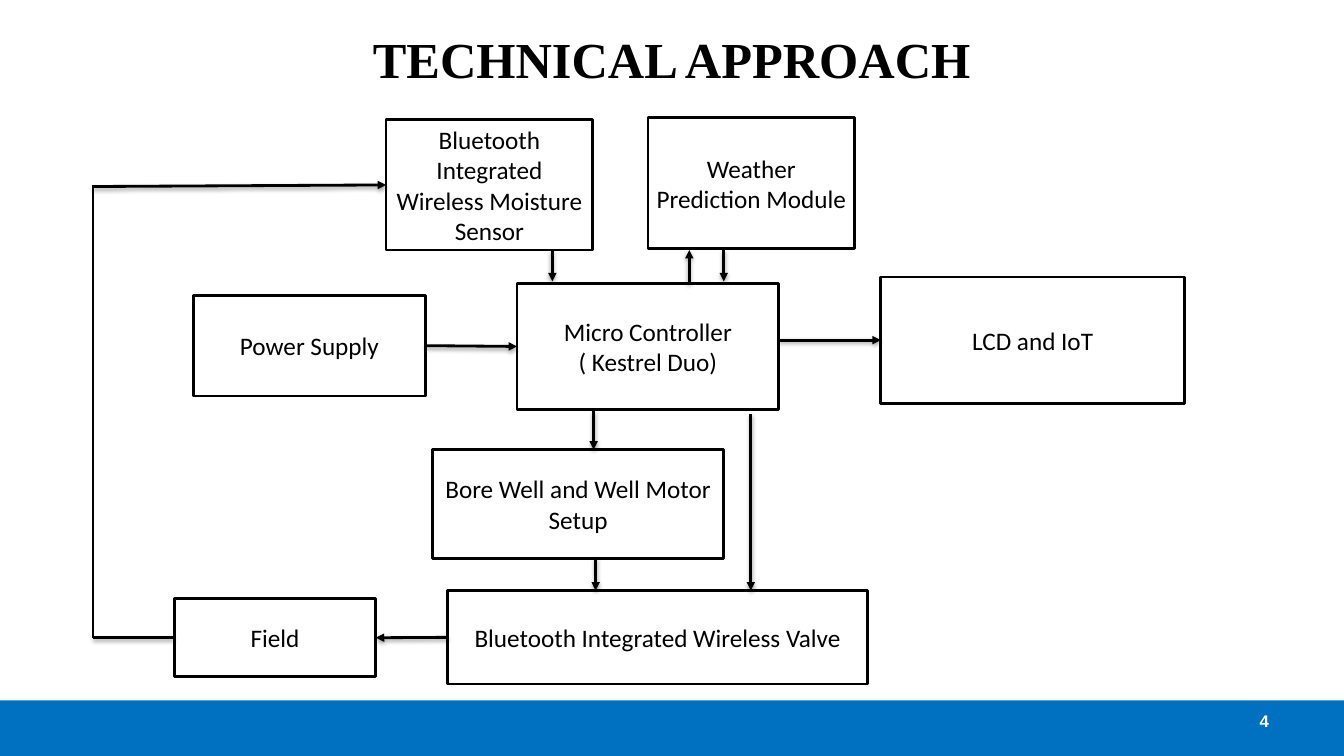
from lxml import etree
from pptx import Presentation
from pptx.dml.color import RGBColor
from pptx.enum.shapes import MSO_CONNECTOR as Link, MSO_SHAPE as Shape
from pptx.enum.text import MSO_ANCHOR as Anchor, PP_ALIGN as Align
from pptx.oxml import parse_xml
from pptx.oxml.ns import nsdecls, qn
from pptx.util import Cm, Pt

BLACK, WHITE, BLUE = "000000", "FFFFFF", "0070C0"
SHADOW = (
    f'<a:outerShdw {nsdecls("a")} blurRad="39370" dist="20320" dir="5400000" rotWithShape="0">'
    '<a:srgbClr val="000000"><a:alpha val="38000"/></a:srgbClr></a:outerShdw>'
)


def color(code):
    return RGBColor.from_string(code)


def write(shape, text, font, size, align=Align.CENTER, code=BLACK, bold=False):
    frame = shape.text_frame
    frame.word_wrap = True
    frame.vertical_anchor = Anchor.MIDDLE
    frame.margin_left = frame.margin_right = Cm(0.2)
    frame.text = text
    for para in frame.paragraphs:
        para.alignment = align
        for run in para.runs:
            run.font.name = font
            run.font.size = Pt(size)
            run.font.bold = bold
            run.font.color.rgb = color(code)


deck = Presentation()
deck.slide_width, deck.slide_height = Cm(33.87), Cm(19.05)
slide = deck.slides.add_slide(deck.slide_layouts[6])
shapes = slide.shapes

# Footer bar, title and page number
bar = shapes.add_shape(Shape.RECTANGLE, Cm(0), Cm(17.65), Cm(33.87), Cm(1.4))
bar.shadow.inherit = False
bar.fill.solid()
bar.fill.fore_color.rgb = color(BLUE)
bar.line.fill.background()

title = shapes.add_textbox(Cm(1.69), Cm(-0.13), Cm(30.48), Cm(3.18))
write(title, "TECHNICAL APPROACH", "Times New Roman", 36, bold=True)
page = shapes.add_textbox(Cm(24.28), Cm(17.65), Cm(7.9), Cm(1.02))
write(page, "4", "Arial", 12, Align.RIGHT, WHITE, True)

# Blocks: name, text, left, top, width, height
blocks = [
    ("sensor", "Bluetooth Integrated Wireless Moisture Sensor", 9.73, 3.02, 5.21, 3.28),
    ("weather", "Weather Prediction Module", 16.33, 2.97, 5.21, 3.3),
    ("power", "Power Supply", 4.88, 7.44, 5.84, 2.54),
    ("micro", "Micro Controller\n( Kestrel Duo)", 13.03, 7.14, 6.6, 3.18),
    ("display", "LCD and IoT", 22.2, 6.98, 7.65, 3.18),
    ("well", "Bore Well and Well Motor Setup", 10.9, 11.33, 7.34, 2.74),
    ("field", "Field", 4.39, 15.09, 5.08, 1.96),
    ("valve", "Bluetooth Integrated Wireless Valve", 11.28, 14.88, 10.59, 2.36),
]
boxes = {}
for name, text, *place in blocks:
    box = shapes.add_shape(Shape.RECTANGLE, *map(Cm, place))
    box.shadow.inherit = False
    box.fill.solid()
    box.fill.fore_color.rgb = color(WHITE)
    box.line.color.rgb = color(BLACK)
    box.line.width = Pt(2)
    write(box, text, "Calibri", 18)
    boxes[name] = box

# Links: each end is a point, or a block and the side to join; then arrowhead, shadow
links = [
    (("field", 1), (2.34, 16.07), False, True),
    ((2.34, 16.07), (2.34, 4.65), False, False),
    ((2.34, 4.7), ("sensor", 1), True, True),
    ((13.92, 6.3), (13.92, 7.09), True, True),
    ((14.96, 10.36), (14.96, 11.33), True, True),
    ((15.01, 14.07), (15.01, 14.88), True, True),
    ((17.37, 7.14), (17.37, 6.3), True, True),
    ((18.24, 6.3), (18.24, 7.09), True, True),
    ((19.63, 8.57), ("display", 1), True, True),
    (("valve", 1), ("field", 3), True, True),
    (("power", 3), ("micro", 1), True, True),
    ((18.92, 10.44), (18.92, 14.88), True, True),
]
for start, end, arrow, shade in links:
    ends = [(0, 0) if isinstance(spot[0], str) else spot for spot in (start, end)]
    link = shapes.add_connector(Link.STRAIGHT, *(Cm(n) for spot in ends for n in spot))
    for spot, join in ((start, link.begin_connect), (end, link.end_connect)):
        if isinstance(spot[0], str):
            join(boxes[spot[0]], spot[1])
    link.line.color.rgb = color(BLACK)
    link.line.width = Pt(2 if shade else 1.5)
    if arrow:
        etree.SubElement(link.line._get_or_add_ln(), qn("a:tailEnd"), type="triangle")
    effects = etree.SubElement(link._element.spPr, qn("a:effectLst"))
    if shade:
        effects.append(parse_xml(SHADOW))

deck.save("out.pptx")
